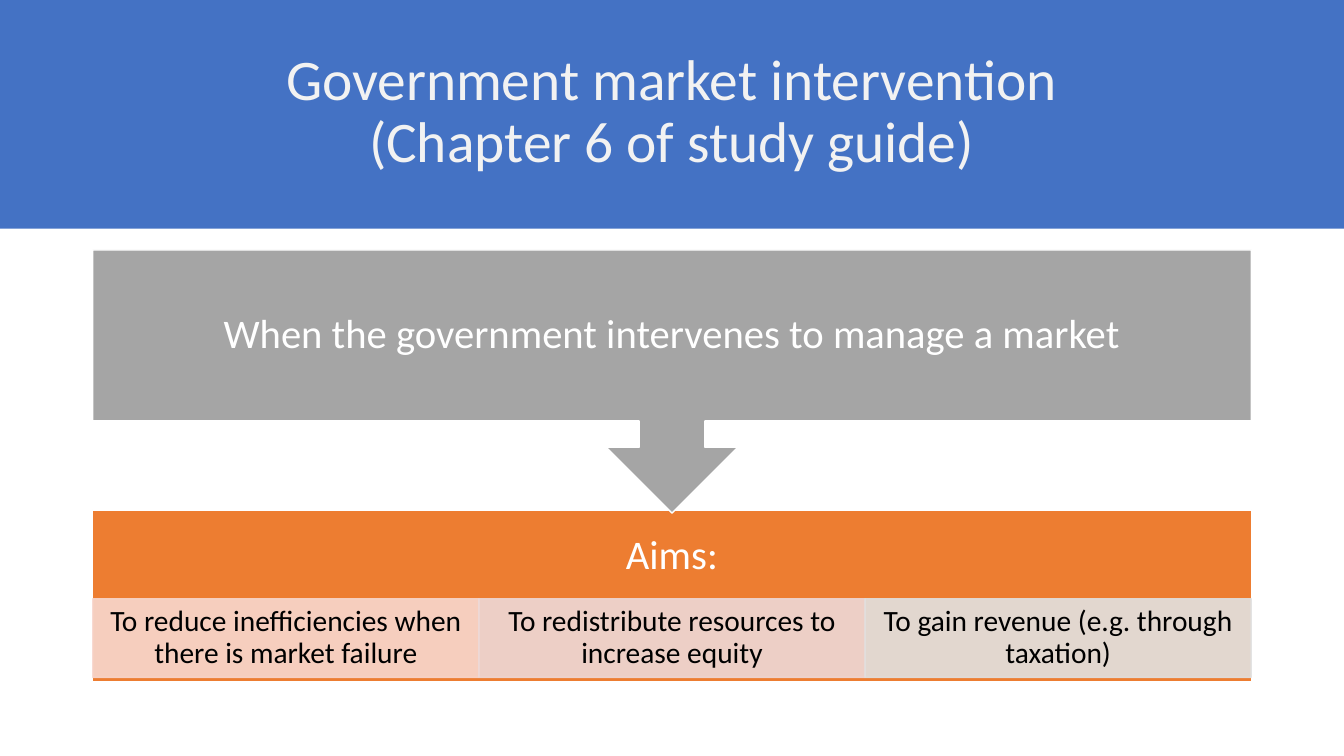
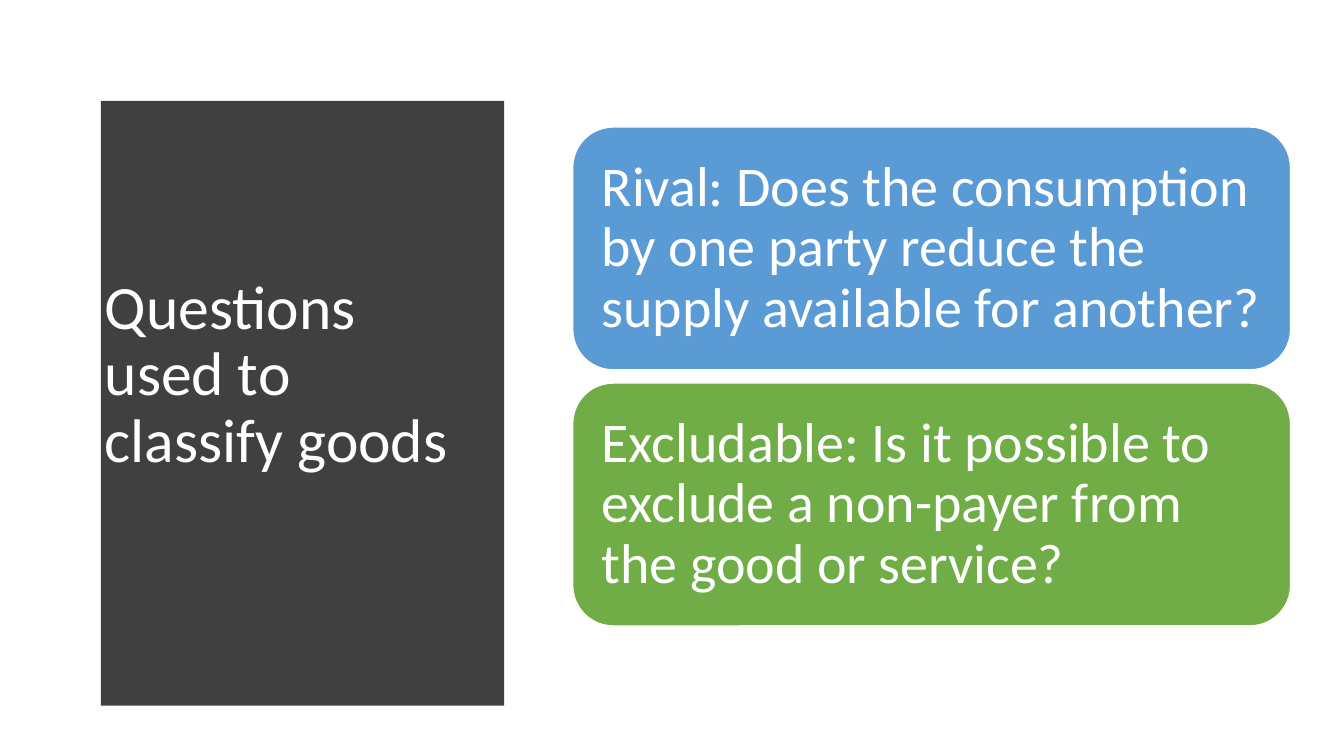
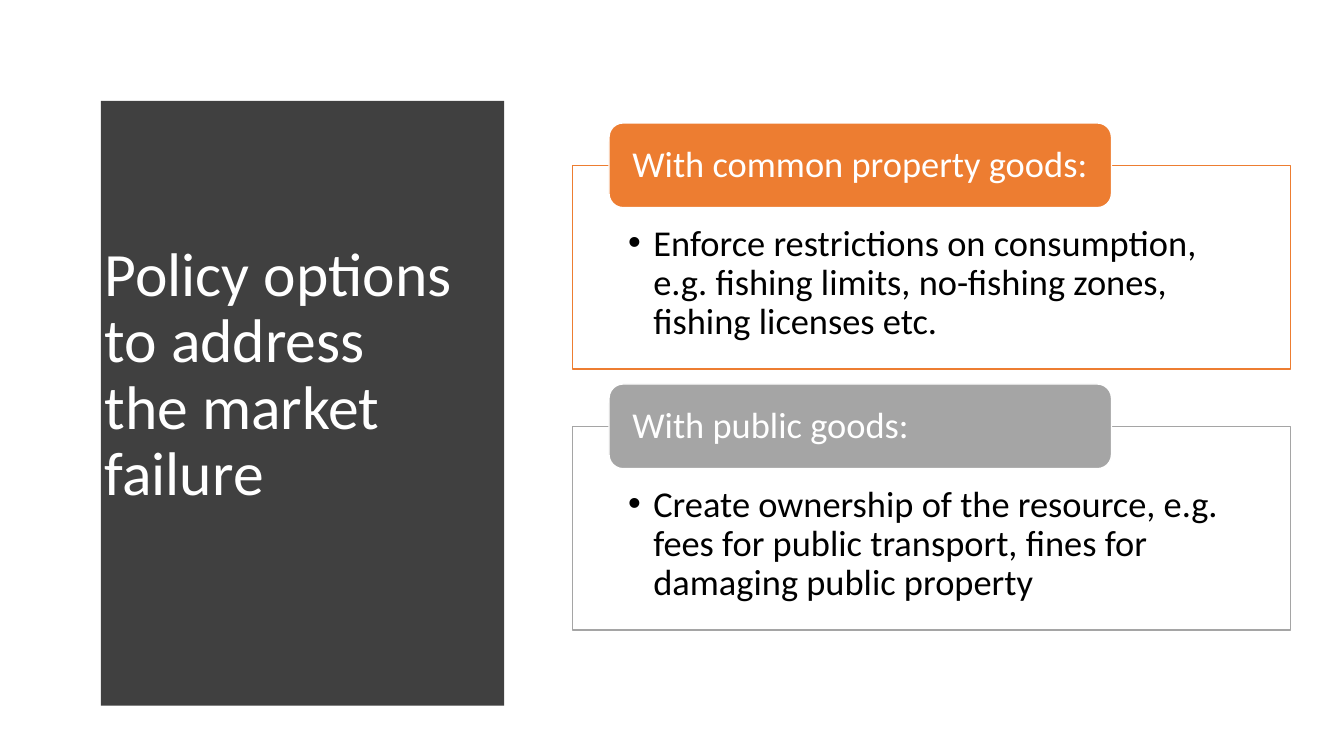
from lxml.etree import SubElement
from pptx import Presentation
from pptx.dml.color import RGBColor
from pptx.enum.shapes import MSO_SHAPE
from pptx.enum.text import MSO_ANCHOR, PP_ALIGN
from pptx.oxml.ns import qn
from pptx.util import Inches, Pt

WHITE = RGBColor(0xFF, 0xFF, 0xFF)
BLACK = RGBColor(0x00, 0x00, 0x00)
PALE = RGBColor(0xF2, 0xF2, 0xF2)
CHARCOAL = RGBColor(0x40, 0x40, 0x40)
NAVY_BLUE = RGBColor(0x44, 0x72, 0xC4)
SKY_BLUE = RGBColor(0x5B, 0x9B, 0xD5)
GREEN = RGBColor(0x70, 0xAD, 0x47)
ORANGE = RGBColor(0xED, 0x7D, 0x31)
GREY = RGBColor(0xA5, 0xA5, 0xA5)
PEACH = RGBColor(0xF8, 0xD7, 0xCE)
ROSE = RGBColor(0xED, 0xD9, 0xD7)
SILVER = RGBColor(0xE1, 0xE1, 0xE1)

FONT = "Calibri"
SLIDE_W, SLIDE_H = 13.33, 7.5
MARGIN = 0.92
CONTENT_W = SLIDE_W - 2 * MARGIN
RIGHT_X, RIGHT_W = 5.68, 7.12
TITLE_INSETS = (0.1, 0.05, 0.1, 0.05)


def add_page(deck):
    return deck.slides.add_slide(deck.slide_layouts[6])


def write(shape, text, size, color, insets, align=PP_ALIGN.LEFT,
          anchor=MSO_ANCHOR.MIDDLE, bullet=False):
    """Fill a shape with one paragraph; insets run left, top, right, bottom."""
    frame = shape.text_frame
    frame.word_wrap = True
    frame.vertical_anchor = anchor
    (frame.margin_left, frame.margin_top,
     frame.margin_right, frame.margin_bottom) = map(Inches, insets)
    para = frame.paragraphs[0]
    para.text = text
    para.alignment = align
    para.line_spacing = 0.9
    if bullet:
        properties = para._p.get_or_add_pPr()
        properties.set("marL", str(Inches(0.25)))
        properties.set("indent", str(-Inches(0.25)))
        SubElement(properties, qn("a:buFont"), typeface="Arial")
        SubElement(properties, qn("a:buChar"), char="•")
    para.font.name = FONT
    para.font.size = Pt(size)
    para.font.color.rgb = color


def paint(shape, fill, line=None):
    shape.shadow.inherit = False
    shape.fill.solid()
    shape.fill.fore_color.rgb = fill
    if line is None:
        shape.line.fill.background()
    else:
        shape.line.color.rgb = line
        shape.line.width = Pt(1)


def add_block(page, kind, left, top, width, height, fill, line=None):
    block = page.shapes.add_shape(
        kind, Inches(left), Inches(top), Inches(width), Inches(height))
    paint(block, fill, line)
    return block


def make_translucent(shape, percent):
    for color in shape._element.spPr.iter(qn("a:srgbClr")):
        SubElement(color, qn("a:alpha"), val=str(percent * 1000))


def add_title(page, text, left, top, width, height, size, color, align):
    box = page.shapes.add_textbox(
        Inches(left), Inches(top), Inches(width), Inches(height))
    write(box, text, size, color, TITLE_INSETS, align)


def add_side_title(page, text):
    """Dark panel with a bulging right edge, and the title on it."""
    left, top, right, bottom = 0.53, 0.52, 5.32, 6.96
    bulge, steps = 0.24, 40
    edge = []
    for step in range(steps + 1):
        share = step / steps
        edge.append((right - bulge * (2 * share - 1) ** 2,
                     top + (bottom - top) * share))
    builder = page.shapes.build_freeform(left, top, scale=Inches(1))
    builder.add_line_segments(edge + [(left, bottom)], close=True)
    paint(builder.convert_to_shape(), CHARCOAL)
    add_title(page, text, 0.94, 1.11, 3.74, 5.24, 44, WHITE, PP_ALIGN.LEFT)


def build_intervention(deck):
    page = add_page(deck)
    add_block(page, MSO_SHAPE.RECTANGLE, 0, 0, SLIDE_W, 2.27, NAVY_BLUE)
    add_title(page, "Government market intervention\n(Chapter 6 of study guide)",
              MARGIN, 0.4, CONTENT_W, 1.45, 41, PALE, PP_ALIGN.CENTER)

    panel = add_block(page, MSO_SHAPE.RECTANGLE, MARGIN, 5.06, CONTENT_W, 1.7,
                      ORANGE, WHITE)
    write(panel, "Aims:", 29, WHITE, (0.23, 0.23, 0.23, 1.01), PP_ALIGN.CENTER)

    aims = [
        ("To reduce inefficiencies when there is market failure", PEACH),
        ("To redistribute resources to increase equity", ROSE),
        ("To gain revenue (e.g. through taxation)", SILVER),
    ]
    column = CONTENT_W / len(aims)
    for index, (text, tint) in enumerate(aims):
        aim = add_block(page, MSO_SHAPE.RECTANGLE, MARGIN + index * column, 5.94,
                        column, 0.78, tint, tint)
        make_translucent(aim, 90)
        write(aim, text, 21, BLACK, (0.16, 0.03, 0.16, 0.03), PP_ALIGN.CENTER)

    callout = add_block(page, MSO_SHAPE.DOWN_ARROW_CALLOUT, MARGIN, 2.48,
                        CONTENT_W, 2.61, GREY, WHITE)
    write(callout, "When the government intervenes to manage a market", 29, WHITE,
          (0.23,) * 4, PP_ALIGN.CENTER)


def build_questions(deck):
    page = add_page(deck)
    add_side_title(page, "Questions used to classify goods")
    questions = [
        ("Rival: Does the consumption by one party reduce the supply "
         "available for another?", SKY_BLUE),
        ("Excludable: Is it possible to exclude a non-payer from "
         "the good or service?", GREEN),
    ]
    for row, (text, fill) in enumerate(questions):
        card = add_block(page, MSO_SHAPE.ROUNDED_RECTANGLE, RIGHT_X,
                         1.26 + row * 2.54, RIGHT_W, 2.41, fill, WHITE)
        write(card, text, 40, WHITE, (0.17,) * 4)


def build_policies(deck):
    page = add_page(deck)
    add_side_title(page, "Policy options to address the market failure")
    policies = [
        ("With common property goods:",
         "Enforce restrictions on consumption, e.g. fishing limits, "
         "no-fishing zones, fishing licenses etc.", ORANGE),
        ("With public goods:",
         "Create ownership of the resource, e.g. fees for public transport, "
         "fines for damaging public property", GREY),
    ]
    for row, (heading, policy, accent) in enumerate(policies):
        top = 1.22 + row * 2.59
        frame = add_block(page, MSO_SHAPE.RECTANGLE, RIGHT_X, top + 0.42,
                          RIGHT_W, 2.02, WHITE, accent)
        write(frame, policy, 26, BLACK, (0.55, 0.59, 0.55, 0.2),
              anchor=MSO_ANCHOR.TOP, bullet=True)
        label = add_block(page, MSO_SHAPE.ROUNDED_RECTANGLE, RIGHT_X + 0.36, top,
                          0.7 * RIGHT_W, 0.84, accent, WHITE)
        write(label, heading, 26, WHITE, (0.19, 0, 0.19, 0))


def main():
    deck = Presentation()
    deck.slide_width, deck.slide_height = Inches(SLIDE_W), Inches(SLIDE_H)
    build_intervention(deck)
    build_questions(deck)
    build_policies(deck)
    deck.save("out.pptx")


if __name__ == "__main__":
    main()
